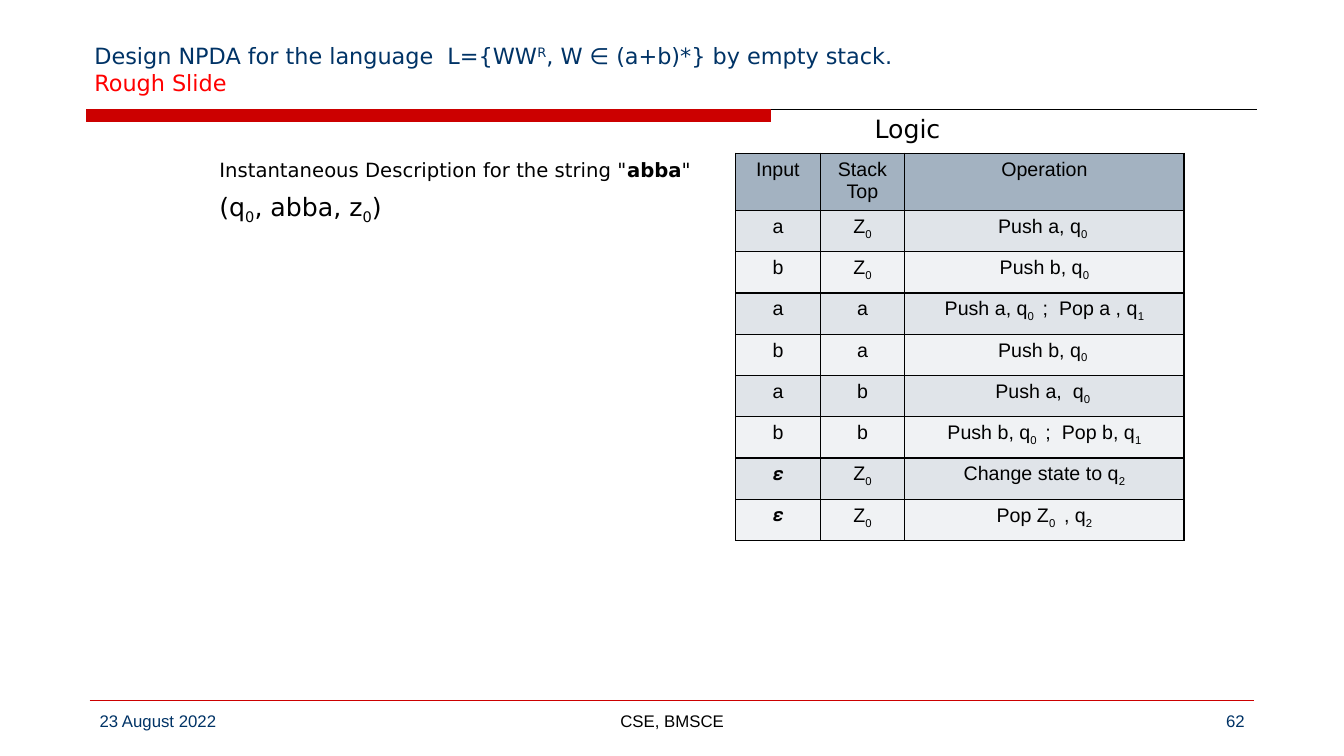
import pptx
import pptx.util
import pptx.dml.color
import pptx.enum.shapes
import pptx.enum.text
import pptx.oxml
import pptx.oxml.ns
from lxml import etree

Cm = pptx.util.Cm
Pt = pptx.util.Pt
rgb = pptx.dml.color.RGBColor.from_string
ALIGN = pptx.enum.text.PP_ALIGN
ANCHOR = pptx.enum.text.MSO_ANCHOR
COLORS = {"navy": "003366", "red": "CC0000", "bright": "FF0000", "black": "000000",
          "header": "A3B2C1", "odd": "E0E4E9", "even": "F0F2F4"}
BASELINES = {"_": "-25000", "^": "30000"}


def write(paragraph, markup, size, font="Arial", color="black", align=ALIGN.LEFT):
    paragraph.alignment = align
    for piece in markup.split("|"):
        mark = piece[0] if piece[0] in "_^*" else ""
        run = paragraph.add_run()
        run.text = piece[len(mark):]
        run.font.size = Pt(size)
        run.font.name = font
        run.font.color.rgb = rgb(COLORS[color])
        run.font.bold = mark == "*"
        if mark in BASELINES:
            run._r.get_or_add_rPr().set("baseline", BASELINES[mark])


def text_box(left, top, width, height):
    frame = slide.shapes.add_textbox(Cm(left), Cm(top), Cm(width), Cm(height)).text_frame
    frame.word_wrap = True
    return frame


deck = pptx.Presentation()
deck.slide_width, deck.slide_height = Cm(33.87), Cm(19.05)
slide = deck.slides.add_slide(deck.slide_layouts[6])

for left, right, y, color in [(2.18, 31.67, 2.77, "black"), (2.26, 31.6, 17.65, "red")]:
    rule = slide.shapes.add_connector(
        pptx.enum.shapes.MSO_CONNECTOR.STRAIGHT, Cm(left), Cm(y), Cm(right), Cm(y))
    rule.line.color.rgb = rgb(COLORS[color])
    rule.line.width = Pt(0.75)
    etree.SubElement(rule._element.spPr, pptx.oxml.ns.qn("a:effectLst"))

title_bar = slide.shapes.add_shape(
    pptx.enum.shapes.MSO_SHAPE.RECTANGLE, Cm(2.18), Cm(2.77), Cm(17.25), Cm(0.3))
title_bar.shadow.inherit = False
title_bar.fill.solid()
title_bar.fill.fore_color.rgb = rgb(COLORS["red"])
title_bar.line.color.rgb = rgb(COLORS["red"])
title_bar.line.width = Pt(0.75)

title = text_box(2.13, 0.43, 29.64, 2.11)
title.vertical_anchor = ANCHOR.BOTTOM
write(title.paragraphs[0], "Design NPDA for the language  L={WW|^R|, W ∈ (a+b)*} by empty stack.",
      16, "DejaVu Sans", "navy")
write(title.add_paragraph(), "Rough Slide", 16, "DejaVu Sans", "bright")

for left, width, words, color, align in [
    (2.26, 7.34, "23 August 2022", "navy", ALIGN.LEFT),
    (11.58, 10.72, "CSE, BMSCE", "black", ALIGN.CENTER),
    (24.28, 7.34, "62", "navy", ALIGN.RIGHT),
]:
    write(text_box(left, 17.78, width, 0.89).paragraphs[0], words, 12, "Arial", color, align)

LOGIC = [
    ("Input", "Stack Top", "Operation"),
    ("a", "Z|_0", "Push a, q|_0 "),
    ("b", "Z|_0", "Push b, q|_0"),
    ("a", "a", "Push a, q|_0 | ;  Pop a , q|_1"),
    ("b", "a", "Push b, q|_0 "),
    ("a", "b", "Push a,  q|_0 "),
    ("b", "b", "Push b, q|_0 | ;  Pop b, q|_1"),
    ("𝞮", "Z|_0", "Change state to q|_2"),
    ("𝞮", "Z|_0", "Pop Z|_0 | , q|_2"),
]
logic_table = slide.shapes.add_table(
    len(LOGIC), 3, Cm(18.54), Cm(3.86), Cm(11.3), Cm(9.36)).table
for column, width in zip(logic_table.columns, (2.13, 2.13, 7.04)):
    column.width = Cm(width)
for r, entries in enumerate(LOGIC):
    logic_table.rows[r].height = Cm(1.04)
    shade = "header" if r == 0 else "odd" if r % 2 else "even"
    for c, entry in enumerate(entries):
        cell = logic_table.cell(r, c)
        font = "Times New Roman" if entry == "𝞮" else "Arial"
        write(cell.text_frame.paragraphs[0], entry, 14, font, align=ALIGN.CENTER)
        for side in "LRTB":
            cell._tc.get_or_add_tcPr().append(pptx.oxml.parse_xml(
                f'<a:ln{side} {pptx.oxml.ns.nsdecls("a")} w="12700"><a:solidFill>'
                f'<a:srgbClr val="{COLORS["black"]}"/></a:solidFill></a:ln{side}>'))
        cell.fill.solid()
        cell.fill.fore_color.rgb = rgb(COLORS[shade])

for left, top, width, height, words, size in [
    (5.28, 4.7, 11, 1.02, "(q|_0|, abba, z|_0|)", 18),
    (5.28, 3.86, 12.7, 0.86, 'Instantaneous Description for the string "|*abba|"', 14),
    (21.79, 2.74, 2.4, 1.02, "Logic", 18),
]:
    write(text_box(left, top, width, height).paragraphs[0], words, size, "DejaVu Sans")

deck.save("out.pptx")
